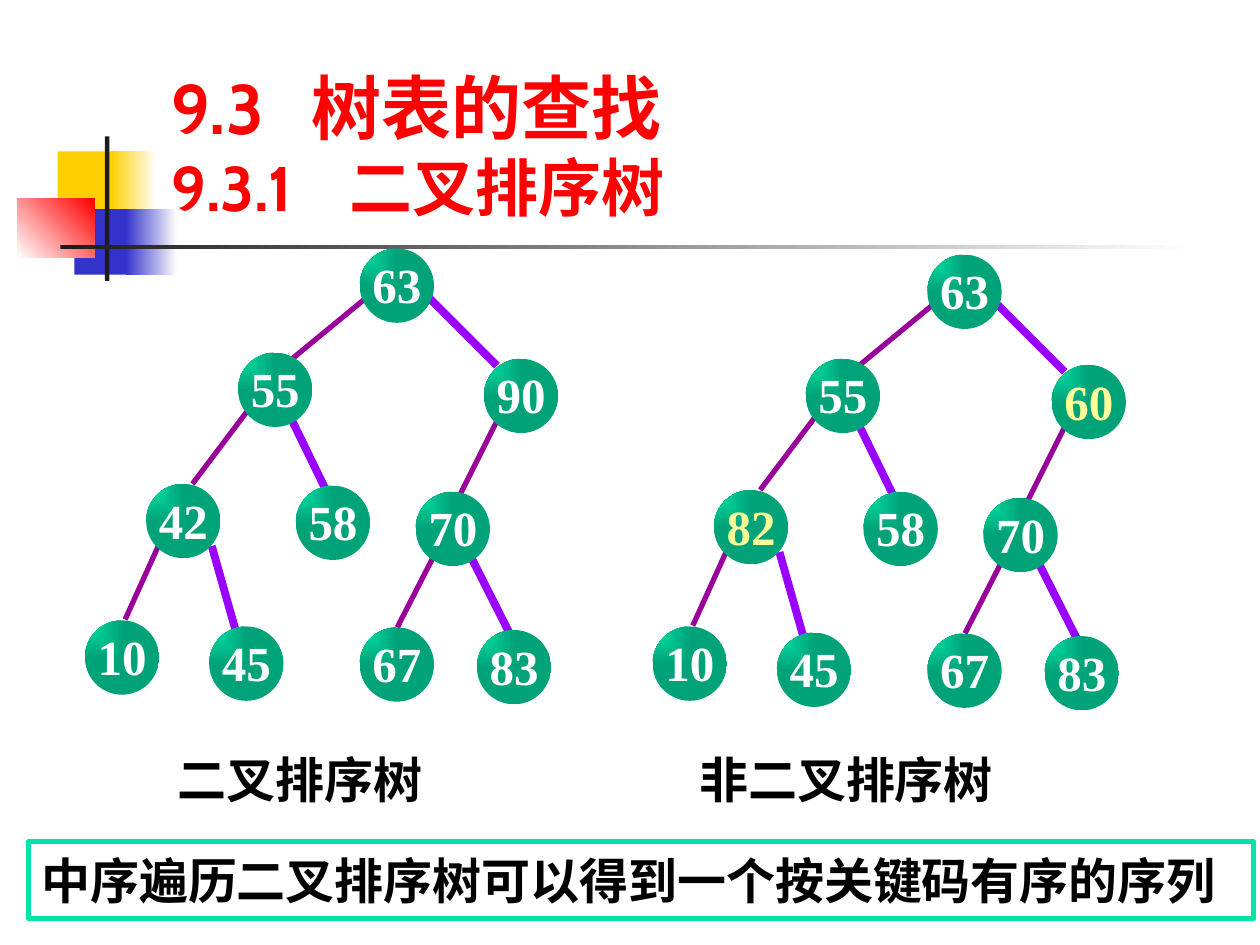
from lxml import etree
from pptx import Presentation
from pptx.dml.color import RGBColor
from pptx.enum.shapes import MSO_CONNECTOR, MSO_SHAPE
from pptx.enum.text import MSO_ANCHOR, PP_ALIGN
from pptx.oxml.ns import qn
from pptx.util import Pt

RECT, OVAL = MSO_SHAPE.RECTANGLE, MSO_SHAPE.OVAL
LINE = MSO_CONNECTOR.STRAIGHT
TOP, MIDDLE, BOTTOM = MSO_ANCHOR.TOP, MSO_ANCHOR.MIDDLE, MSO_ANCHOR.BOTTOM
LEFT, CENTER = PP_ALIGN.LEFT, PP_ALIGN.CENTER

# Tree layout: left and top of each node, then the ends of each edge
SIZE = 42.5
NODES = [(205.5, 142), (276.5, 205), (136, 201.5), (83.5, 276.5), (169, 277.5),
         (48.5, 354.5), (119.5, 358), (205.5, 358.5), (272.5, 360), (237.5, 281)]
EDGES = [(167, 240.5, 186, 279.5), (142, 234, 110, 276.5),
         (284, 240.5, 262.5, 283.5), (121, 312, 135, 361.5),
         (209.5, 170, 167, 205), (245, 170, 284, 209),
         (269.5, 319, 291, 361.5), (247, 319.5, 227, 358.5),
         (90.5, 312, 71.5, 354)]


def color(code):
    return RGBColor.from_string(code)


class Deck:
    serif, sans = "Times New Roman", "Cabin"
    black, white, red = "000000", "FFFFFF", "FF0000"
    mint, pale = "00E4A8", "FFFF99"
    left_edge, right_edge = ("990099", 3), ("9900FF", 4.5)

    def __init__(self):
        self.prs = Presentation()
        self.prs.slide_width, self.prs.slide_height = Pt(720), Pt(540)
        self.slide = self.prs.slides.add_slide(self.prs.slide_layouts[6])
        self.home = self.slide.shapes

    def shape(self, kind, box, fill=None, end=None, angle=0, home=None):
        item = (home or self.home).add_shape(kind, *map(Pt, box))
        item.shadow.inherit = False
        item.line.fill.background()
        if end:
            item.fill.gradient()
            item.fill.gradient_angle = angle
            for stop, code in zip(item.fill.gradient_stops, (fill, end)):
                stop.color.rgb = color(code)
        elif fill:
            item.fill.solid()
            item.fill.fore_color.rgb = color(fill)
        else:
            item.fill.background()
        return item

    def label(self, item, lines, code, font, align=LEFT, anchor=TOP, tabs=()):
        frame = item.text_frame
        frame.word_wrap = True
        frame.vertical_anchor = anchor
        for i, (text, size) in enumerate(lines):
            para = frame.add_paragraph() if i else frame.paragraphs[0]
            para.text = text
            para.alignment = align
            if tabs:
                stops = etree.SubElement(para._p.get_or_add_pPr(), qn("a:tabLst"))
                etree.SubElement(stops, qn("a:tab"), pos=str(Pt(tabs[i])), algn="l")
            para.font.name, para.font.size = font, Pt(size)
            para.font.bold = True
            para.font.color.rgb = color(code)
        return frame

    def text(self, box, lines, code, font, home=None, **style):
        item = (home or self.home).add_textbox(*map(Pt, box))
        return self.label(item, lines, code, font, **style)

    def edge(self, ends, home):
        code, width = self.right_edge if ends[2] > ends[0] else self.left_edge
        item = home.add_connector(LINE, *map(Pt, ends))
        item.line.color.rgb = color(code)
        item.line.width = Pt(width)
        etree.SubElement(item._element.spPr, qn("a:effectLst"))

    def node(self, x, y, key, code, home):
        ball = self.shape(OVAL, (x, y, SIZE, SIZE), self.mint, self.mint, home=home)
        # Shade outwards from the top left corner
        grad = ball._element.spPr.find(qn("a:gradFill"))
        dark = grad.findall(".//" + qn("a:srgbClr"))[-1]
        etree.SubElement(dark, qn("a:shade"), val="46275")
        grad.remove(grad.find(qn("a:lin")))
        focus = etree.SubElement(grad, qn("a:path"), path="rect")
        etree.SubElement(focus, qn("a:fillToRect"), r="100000", b="100000")
        frame = self.text((x + 7, y + 3.5, 28.5, 37.5), [(str(key), 28)], code,
                          self.serif, home=home, align=CENTER)
        frame.margin_left = frame.margin_right = frame.margin_top = 0
        frame.margin_bottom = Pt(3)

    def tree(self, dx, dy, keys, wrong=()):
        home = self.home.add_group_shape().shapes
        for x1, y1, x2, y2 in EDGES:
            self.edge((x1 + dx, y1 + dy, x2 + dx, y2 + dy), home)
        for (x, y), key in zip(NODES, keys):
            code = self.pale if key in wrong else self.white
            self.node(x + dx, y + dy, key, code, home)


def main():
    deck = Deck()

    # Corner blocks and rules
    for box, *fill in [
        ((33, 86.5, 34.5, 37.5), "FFCF01"),
        ((63.5, 86.5, 26, 37.5), "FFCF01", deck.white),
        ((42.5, 119.5, 33, 37.5), "3333CC"),
        ((72, 119.5, 29, 37.5), "3333CC", deck.white),
        ((10, 113.5, 44, 33.5), deck.white, deck.red, 45),
        ((60, 78, 2.5, 82.5), "1C1C1C"),
        ((34.5, 140, 648, 2.5), "1C1C1C", deck.white),
    ]:
        deck.shape(RECT, box, *fill)

    # Captions
    for x, name in [(94.5, "二叉排序树"), (392.5, "非二叉排序树")]:
        deck.text((x, 425, 200, 41), [(name, 28)], deck.black, deck.serif)

    # Search tree, and one that breaks the order
    deck.tree(0, 0, (63, 90, 55, 42, 58, 10, 45, 67, 83, 70))
    deck.tree(324.4, 3.5, (63, 60, 55, 82, 58, 10, 45, 67, 83, 70), (60, 82))

    # Framed conclusion
    frame = deck.shape(RECT, (16.5, 481, 700, 44))
    frame.line.color.rgb = color(deck.mint)
    frame.line.width = Pt(3)
    deck.label(frame, [("中序遍历二叉排序树可以得到一个按关键码有序的序列", 28)],
               deck.black, deck.serif, anchor=MIDDLE)

    # Title
    deck.text((91, 16.5, 613.5, 115), [("9.3\t树表的查找", 40), ("9.3.1\t二叉排序树", 36)],
              deck.red, deck.sans, anchor=BOTTOM, tabs=(80, 101.5))

    deck.prs.save("out.pptx")


if __name__ == "__main__":
    main()
